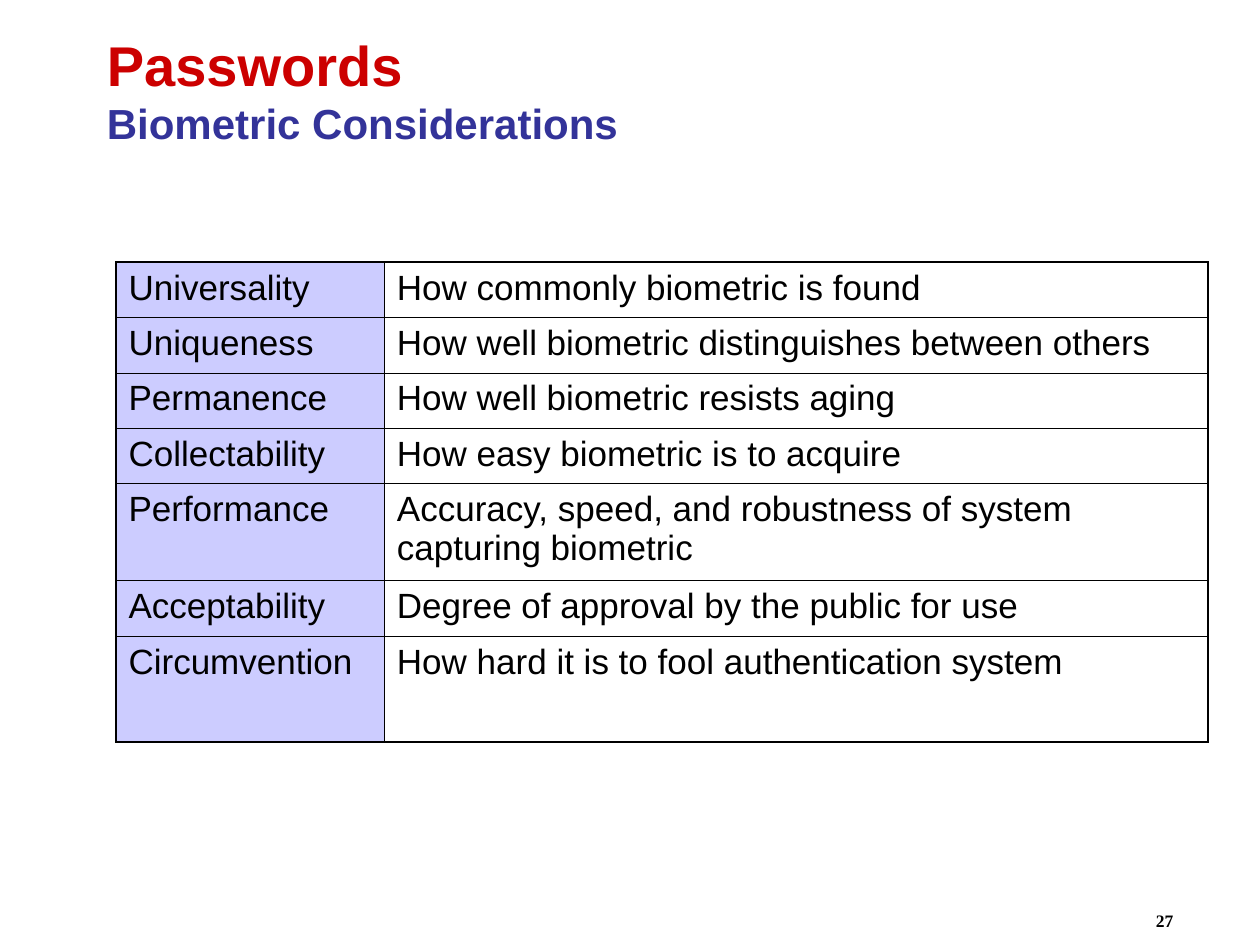
from pptx import Presentation
from pptx.dml.color import RGBColor as RGB
from pptx.enum.text import MSO_ANCHOR as Anchor, PP_ALIGN as Align
from pptx.oxml.ns import qn
from pptx.util import Inches, Pt
from lxml.etree import SubElement as Sub

RED = RGB(0xCC, 0x00, 0x00)
BLUE = RGB(0x33, 0x33, 0x99)
LILAC = RGB(0xCC, 0xCC, 0xFF)
BLACK = RGB(0, 0, 0)

THIN, THICK = 0.45, 1.08
COLS = [2.13, 6.54]
ROWS = [
    ("Universality", "How commonly biometric is found", 0.44),
    ("Uniqueness", "How well biometric distinguishes between others", 0.44),
    ("Permanence", "How well biometric resists aging", 0.44),
    ("Collectability", "How easy biometric is to acquire", 0.44),
    ("Performance",
     "Accuracy, speed, and robustness of system capturing biometric", 0.77),
    ("Acceptability", "Degree of approval by the public for use", 0.44),
    ("Circumvention", "How hard it is to fool authentication system", 0.84),
]


class Deck:
    font = "Arial"

    def __init__(self, wide, high):
        self.prs = Presentation()
        self.prs.slide_width = Inches(wide)
        self.prs.slide_height = Inches(high)
        self.slide = self.prs.slides.add_slide(self.prs.slide_layouts[6])

    def run(self, para, text, size, color=BLACK, bold=False, font=None):
        run = para.add_run()
        run.text = text
        run.font.name = font or self.font
        run.font.size = Pt(size)
        run.font.bold = bold
        run.font.color.rgb = color

    def box(self, left, top, wide, high, anchor=Anchor.TOP, align=Align.LEFT):
        """Add a text box and return its first paragraph."""
        area = map(Inches, (left, top, wide, high))
        frame = self.slide.shapes.add_textbox(*area).text_frame
        frame.word_wrap = True
        frame.vertical_anchor = anchor
        para = frame.paragraphs[0]
        para.alignment = align
        return para

    def edges(self, cell, widths):
        """Draw the left, right, top and bottom borders, in that order."""
        props = cell._tc.get_or_add_tcPr()
        for spot, (side, width) in enumerate(zip("LRTB", widths)):
            line = props.makeelement(qn(f"a:ln{side}"), w=str(int(Pt(width))))
            fill = Sub(line, qn("a:solidFill"))
            Sub(fill, qn("a:srgbClr"), val=str(BLACK))
            props.insert(spot, line)

    def table(self, left, top, cols, rows, size):
        area = map(Inches, (left, top, sum(cols), sum(r[-1] for r in rows)))
        grid = self.slide.shapes.add_table(len(rows), len(cols), *area).table
        grid.first_row = grid.horz_banding = False
        for col, wide in zip(grid.columns, cols):
            col.width = Inches(wide)
        for i, (*texts, high) in enumerate(rows):
            grid.rows[i].height = Inches(high)
            for j, text in enumerate(texts):
                cell = grid.cell(i, j)
                if j == 0:
                    cell.fill.solid()
                    cell.fill.fore_color.rgb = LILAC
                else:
                    cell.fill.background()
                outer = (j == 0, j == len(cols) - 1,
                         i == 0, i == len(rows) - 1)
                self.edges(cell, [THICK if out else THIN for out in outer])
                self.run(cell.text_frame.paragraphs[0], text, size)


def main():
    deck = Deck(10, 7.5)
    title = deck.box(0.75, 0.08, 8.5, 1.25, Anchor.MIDDLE)
    deck.run(title, "Passwords", 32, RED, True)
    title.add_line_break()
    deck.run(title, "Biometric Considerations", 24, BLUE, True)
    deck.table(0.92, 2.08, COLS, ROWS, 20)
    page = deck.box(7.33, 7.17, 2.08, 0.42, align=Align.RIGHT)
    deck.run(page, "27", 10, bold=True, font="Times New Roman")
    deck.prs.save("out.pptx")


if __name__ == "__main__":
    main()
